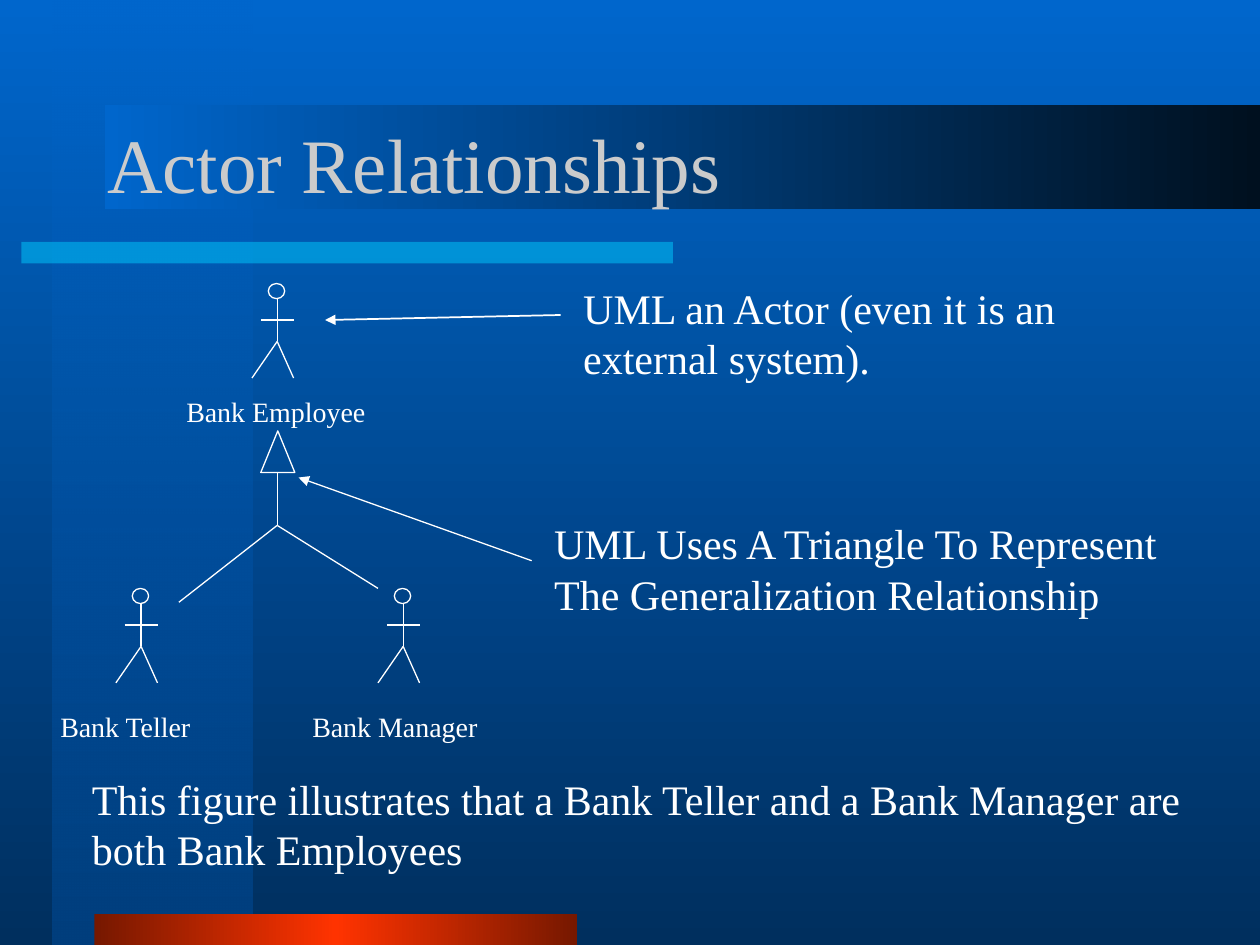
from lxml import etree
from pptx import Presentation
from pptx.dml.color import RGBColor
from pptx.enum.shapes import MSO_CONNECTOR, MSO_SHAPE
from pptx.enum.text import MSO_ANCHOR, PP_ALIGN
from pptx.oxml.ns import qn
from pptx.util import Inches, Pt

RECTANGLE, OVAL = MSO_SHAPE.RECTANGLE, MSO_SHAPE.OVAL
TRIANGLE = MSO_SHAPE.ISOSCELES_TRIANGLE
STRAIGHT = MSO_CONNECTOR.STRAIGHT
LEFT, MIDDLE = PP_ALIGN.LEFT, MSO_ANCHOR.MIDDLE

WHITE = RGBColor(0xFF, 0xFF, 0xFF)
SILVER = RGBColor(0xCB, 0xCB, 0xCB)
BLUE = RGBColor(0x00, 0x66, 0xCC)
DEEP_BLUE = RGBColor(0x00, 0x3F, 0x7E)
NAVY = RGBColor(0x00, 0x2F, 0x5E)
MIDNIGHT = RGBColor(0x00, 0x10, 0x1F)
CYAN = RGBColor(0x00, 0xCC, 0xFF)
RED = RGBColor(0xFF, 0x33, 0x00)
MAROON = RGBColor(0x76, 0x18, 0x00)

FONT = "Times New Roman"
DOWNWARD, RIGHTWARD = 270, 0
THIN = 0.75
TREE_X = 2.2
ACTOR_HEIGHT = 0.75
EMPLOYEE_TOP, STAFF_TOP = 2.25, 4.67
TELLER_X, MANAGER_X = 1.12, 3.2
FORK_Y = 4.17


def set_alpha(color_element, percent):
    etree.SubElement(color_element, qn("a:alpha"), val=str(percent * 1000))


def fill_gradient(fill, element, colors, angle, first_alpha=100):
    """Spread the colours evenly along the gradient found in element."""
    fill.gradient()
    fill.gradient_angle = angle
    stops = next(element.iter(qn("a:gsLst")))
    for stop in list(stops):
        stops.remove(stop)
    for index, color in enumerate(colors):
        position = index * 100000 // (len(colors) - 1)
        stop = etree.SubElement(stops, qn("a:gs"), pos=str(position))
        value = etree.SubElement(stop, qn("a:srgbClr"), val=str(color))
        if index == 0 and first_alpha < 100:
            set_alpha(value, first_alpha)


def add_bar(slide, left, top, width, height):
    bar = slide.shapes.add_shape(RECTANGLE, Inches(left), Inches(top),
                                 Inches(width), Inches(height))
    bar.shadow.inherit = False
    bar.line.fill.background()
    return bar


def add_gradient_bar(slide, bounds, colors, angle, first_alpha=100):
    bar = add_bar(slide, *bounds)
    fill_gradient(bar.fill, bar._element, colors, angle, first_alpha)


def add_outline(shapes, kind, left, top, width, height):
    outline = shapes.add_shape(kind, Inches(left), Inches(top),
                               Inches(width), Inches(height))
    outline.shadow.inherit = False
    outline.fill.background()
    outline.line.color.rgb = WHITE
    outline.line.width = Pt(THIN)


def add_line(shapes, start, end, width=THIN, arrow=False):
    line = shapes.add_connector(STRAIGHT, *map(Inches, start + end))
    line.line.color.rgb = WHITE
    line.line.width = Pt(width)
    if arrow:
        etree.SubElement(line.get_or_add_ln(), qn("a:tailEnd"), type="triangle")
    etree.SubElement(line._element.spPr, qn("a:effectLst"))


def add_actor(slide, center, top):
    """Draw a stick figure as one group."""
    parts = slide.shapes.add_group_shape().shapes
    neck, arms, hip = top + 0.12, top + 0.29, top + 0.46
    foot = top + ACTOR_HEIGHT
    add_outline(parts, OVAL, center - 0.07, top, 0.13, 0.12)
    add_line(parts, (center, neck), (center, hip))
    add_line(parts, (center - 0.13, arms), (center + 0.13, arms))
    for reach in (-0.2, 0.13):
        add_line(parts, (center, hip), (center + reach, foot))


def write_text(frame, text, size, color=WHITE, wrap=True):
    frame.word_wrap = wrap
    para = frame.paragraphs[0]
    para.alignment = LEFT
    span = para.add_run()
    span.text = text
    span.font.name = FONT
    span.font.size = Pt(size)
    span.font.color.rgb = color


def add_text(slide, text, left, top, width, height, **style):
    box = slide.shapes.add_textbox(Inches(left), Inches(top),
                                   Inches(width), Inches(height))
    write_text(box.text_frame, text, **style)


def add_backdrop(slide):
    fill_gradient(slide.background.fill, slide._element, (BLUE, NAVY), DOWNWARD)
    add_gradient_bar(slide, (0.42, 0, 1.58, 7.5), (BLUE, DEEP_BLUE), DOWNWARD, 50)
    stripe = add_bar(slide, 0.17, 1.92, 5.17, 0.17)
    stripe.fill.solid()
    stripe.fill.fore_color.rgb = CYAN
    set_alpha(next(stripe._element.spPr.iter(qn("a:srgbClr"))), 50)
    add_gradient_bar(slide, (0.75, 7.25, 3.83, 0.25), (MAROON, RED, MAROON), RIGHTWARD)
    add_gradient_bar(slide, (0.83, 0.83, 9.17, 0.83), (BLUE, MIDNIGHT), RIGHTWARD)


def add_title(slide, text):
    title = slide.shapes.title
    title.left, title.top = Inches(0.75), Inches(0.67)
    title.width, title.height = Inches(8.5), Inches(1.25)
    title.text_frame.vertical_anchor = MIDDLE
    write_text(title.text_frame, text, size=44, color=SILVER)
    slide.shapes._spTree.append(title._element)  # in front of its band


def add_hierarchy(slide):
    for center, top in ((TREE_X, EMPLOYEE_TOP), (TELLER_X, STAFF_TOP),
                        (MANAGER_X, STAFF_TOP)):
        add_actor(slide, center, top)
    fork = (TREE_X, FORK_Y)
    for end in ((TREE_X, 3.75), (1.42, 4.78), (3, STAFF_TOP)):
        add_line(slide.shapes, fork, end)
    add_outline(slide.shapes, TRIANGLE, TREE_X - 0.13, 3.42, 0.27, 0.33)
    for label, left, top, width in (("Bank Employee", 1.38, 3.08, 1.62),
                                    ("Bank Teller", 0.38, 5.58, 1.25),
                                    ("Bank Manager", 2.38, 5.58, 1.51)):
        add_text(slide, label, left, top, width, 0.37, size=16, wrap=False)


def add_remarks(slide):
    add_text(slide, "UML an Actor (even it is an external system).",
             4.53, 2.19, 4.52, 0.9, size=24)
    add_line(slide.shapes, (4.45, 2.5), (2.58, 2.54), width=1, arrow=True)
    add_text(slide, "UML Uses A Triangle To Represent The Generalization Relationship",
             4.3, 4.06, 5, 1.3, size=24)
    add_line(slide.shapes, (4.22, 4.45), (2.37, 3.79), arrow=True)
    add_text(slide, "This figure illustrates that a Bank Teller and a Bank Manager "
             "are both Bank Employees", 0.63, 6.09, 8.91, 0.9, size=24)


def main():
    deck = Presentation()
    deck.slide_width, deck.slide_height = Inches(10), Inches(7.5)
    page = deck.slides.add_slide(deck.slide_layouts.get_by_name("Title Only"))
    add_backdrop(page)
    add_title(page, "Actor Relationships")
    add_hierarchy(page)
    add_remarks(page)
    deck.save("out.pptx")


if __name__ == "__main__":
    main()
